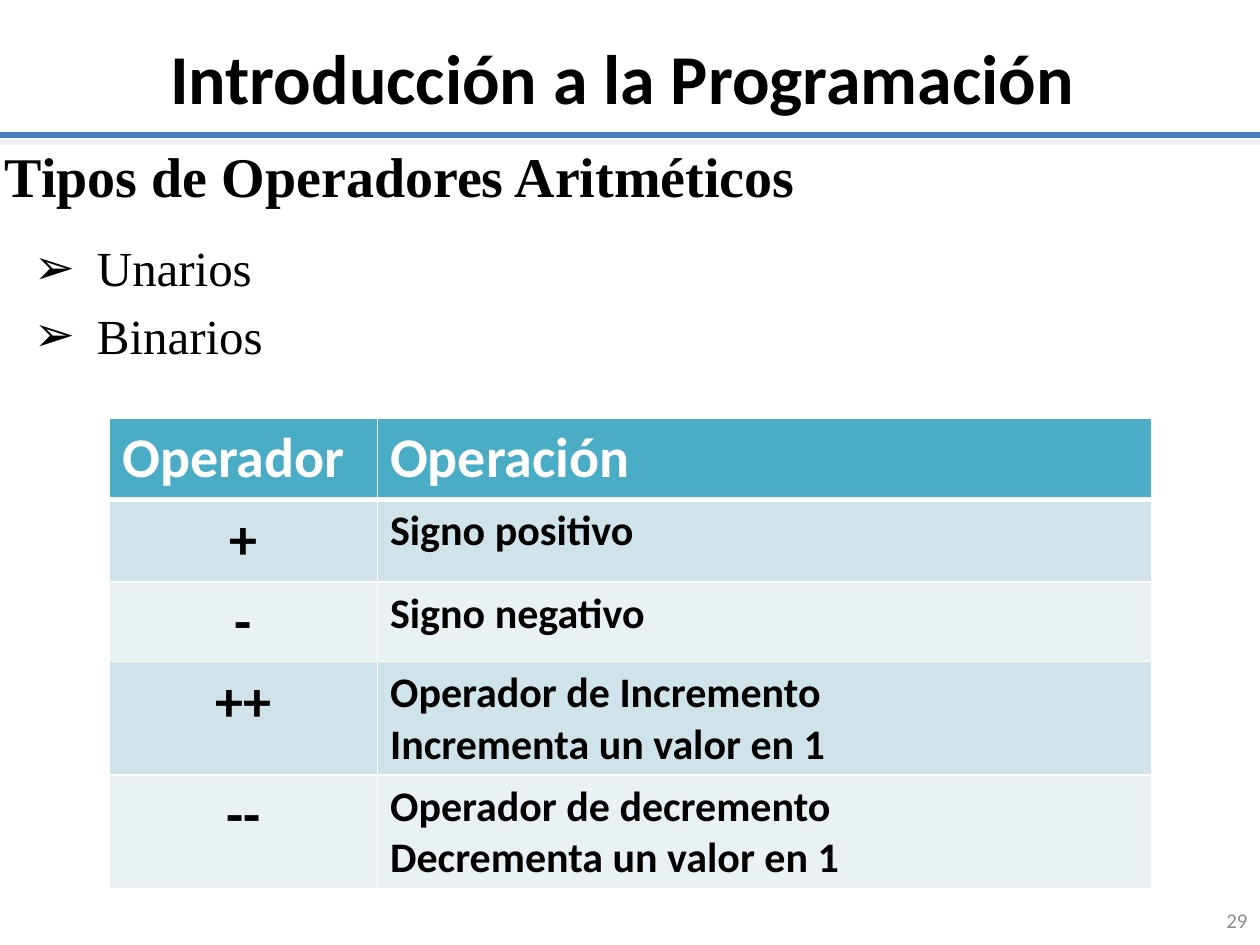
import pptx
import pptx.dml.color
import pptx.enum.shapes
import pptx.enum.text
import pptx.oxml
import pptx.oxml.ns
import pptx.util
from dataclasses import dataclass

Cm, Pt = pptx.util.Cm, pptx.util.Pt
ALIGN = pptx.enum.text.PP_ALIGN
ANCHOR = pptx.enum.text.MSO_ANCHOR
NAMESPACE = pptx.oxml.ns.nsdecls("a")


@dataclass(frozen=True)
class Theme:
    sans: str = "Calibri"
    serif: str = "Times New Roman"
    black: str = "000000"
    white: str = "FFFFFF"
    gray: str = "8C8C8C"
    rule: str = "4B7EBC"
    rule_shadow: str = "F2F2F2"
    header: str = "4BACC6"
    bands: tuple = ("D0E3EA", "E9F1F5")
    title_size: int = 40
    heading_size: int = 32
    list_size: int = 28
    detail_size: int = 24
    number_size: int = 12


THEME = Theme()

TITLE = "Introducción a la Programación "
HEADING = "Tipos de Operadores Aritméticos"
OPERATOR_KINDS = ["Unarios", "Binarios"]
PAGE_NUMBER = "29"
TABLE_HEADER = ("Operador", "Operación")
OPERATORS = [
    ("+", ["Signo positivo"]),
    ("-", ["Signo negativo"]),
    ("++", ["Operador de Incremento", "Incrementa un valor en 1"]),
    ("--", ["Operador de decremento", "Decrementa un valor en 1"]),
]
COLUMN_WIDTHS = (5.4, 15.6)
ROW_HEIGHTS = (1.64, 1.66, 1.5, 2.13, 2.13)


def color(value):
    return pptx.dml.color.RGBColor.from_string(value)


def write(frame, lines, *, size, font=THEME.sans, ink=THEME.black, bold=False,
          align=ALIGN.LEFT, anchor=None, bullet=None, gap=0):
    """Fill a text frame with one paragraph per line; gap is in points."""
    lines = [lines] if isinstance(lines, str) else lines
    frame.word_wrap = True
    if anchor is not None:
        frame.vertical_anchor = anchor
    for index, line in enumerate(lines):
        paragraph = frame.paragraphs[0] if index == 0 else frame.add_paragraph()
        paragraph.alignment = align
        if bullet:
            properties = paragraph._p.get_or_add_pPr()
            properties.set("marL", str(Cm(1.27)))
            properties.set("indent", str(-Cm(1.27)))
            properties.append(pptx.oxml.parse_xml(
                f'<a:buChar {NAMESPACE} char="{bullet}"/>'))
        paragraph.space_before = Pt(gap if index else 0)
        run = paragraph.add_run()
        run.text = line
        run.font.name = font
        run.font.size = Pt(size)
        run.font.bold = bold
        run.font.color.rgb = color(ink)


def place(shape, left, top, width, height):
    shape.left, shape.top = Cm(left), Cm(top)
    shape.width, shape.height = Cm(width), Cm(height)


def add_rule(slide):
    rule = slide.shapes.add_connector(
        pptx.enum.shapes.MSO_CONNECTOR.STRAIGHT, 0, Cm(2.72), Cm(25.4), Cm(2.72))
    rule.line.color.rgb = color(THEME.rule)
    rule.line.width = Pt(3)
    rule._element.spPr.append(pptx.oxml.parse_xml(
        f'<a:effectLst {NAMESPACE}><a:outerShdw blurRad="0" dist="{Pt(4)}" '
        f'dir="{94 * 60000}" rotWithShape="0"><a:srgbClr val="{THEME.rule_shadow}"/>'
        '</a:outerShdw></a:effectLst>'))


def style_cell(cell, fill, top=1, bottom=1):
    """Give a cell its fill and white borders, with widths in points."""
    properties = cell._tc.get_or_add_tcPr()
    for side, width in (("L", 1), ("R", 1), ("T", top), ("B", bottom)):
        properties.append(pptx.oxml.parse_xml(
            f'<a:ln{side} {NAMESPACE} w="{Pt(width)}"><a:solidFill>'
            f'<a:srgbClr val="{THEME.white}"/></a:solidFill></a:ln{side}>'))
    cell.fill.solid()
    cell.fill.fore_color.rgb = color(fill)


def add_operator_table(slide):
    table = slide.shapes.add_table(
        len(ROW_HEIGHTS), len(COLUMN_WIDTHS), Cm(2.21), Cm(8.43),
        Cm(sum(COLUMN_WIDTHS)), Cm(sum(ROW_HEIGHTS))).table
    for column, width in zip(table.columns, COLUMN_WIDTHS):
        column.width = Cm(width)
    for row, height in zip(table.rows, ROW_HEIGHTS):
        row.height = Cm(height)
    for index, label in enumerate(TABLE_HEADER):
        cell = table.cell(0, index)
        style_cell(cell, THEME.header, bottom=3)
        write(cell.text_frame, label, size=THEME.heading_size, ink=THEME.white, bold=True)
    for index, (symbol, details) in enumerate(OPERATORS):
        symbol_cell, detail_cell = table.rows[index + 1].cells
        for cell in (symbol_cell, detail_cell):
            style_cell(cell, THEME.bands[index % 2], top=1 if index else 3)
        write(symbol_cell.text_frame, symbol, size=THEME.heading_size, bold=True,
              align=ALIGN.CENTER)
        write(detail_cell.text_frame, details, size=THEME.detail_size, bold=True)


def main():
    presentation = pptx.Presentation()
    presentation.slide_width, presentation.slide_height = Cm(25.4), Cm(19.05)
    slide = presentation.slides.add_slide(presentation.slide_layouts[1])
    title, body = slide.placeholders

    add_rule(slide)
    place(title, 0, -0.05, 25.4, 3.18)
    write(title.text_frame, TITLE, size=THEME.title_size, bold=True,
          align=ALIGN.CENTER, anchor=ANCHOR.MIDDLE)

    heading = slide.shapes.add_textbox(Cm(-0.15), Cm(2.72), Cm(25.55), Cm(1.63))
    write(heading.text_frame, HEADING, size=THEME.heading_size, font=THEME.serif,
          bold=True, align=ALIGN.JUSTIFY)

    place(body, 0.43, 4.67, 6.48, 2.77)
    write(body.text_frame, OPERATOR_KINDS, size=THEME.list_size, font=THEME.serif,
          align=ALIGN.JUSTIFY, bullet="➢", gap=5)

    add_operator_table(slide)

    number = slide.shapes.add_textbox(Cm(19.48), Cm(18.03), Cm(5.92), Cm(1.02))
    write(number.text_frame, PAGE_NUMBER, size=THEME.number_size, ink=THEME.gray,
          align=ALIGN.RIGHT, anchor=ANCHOR.MIDDLE)

    presentation.save("out.pptx")


if __name__ == "__main__":
    main()
